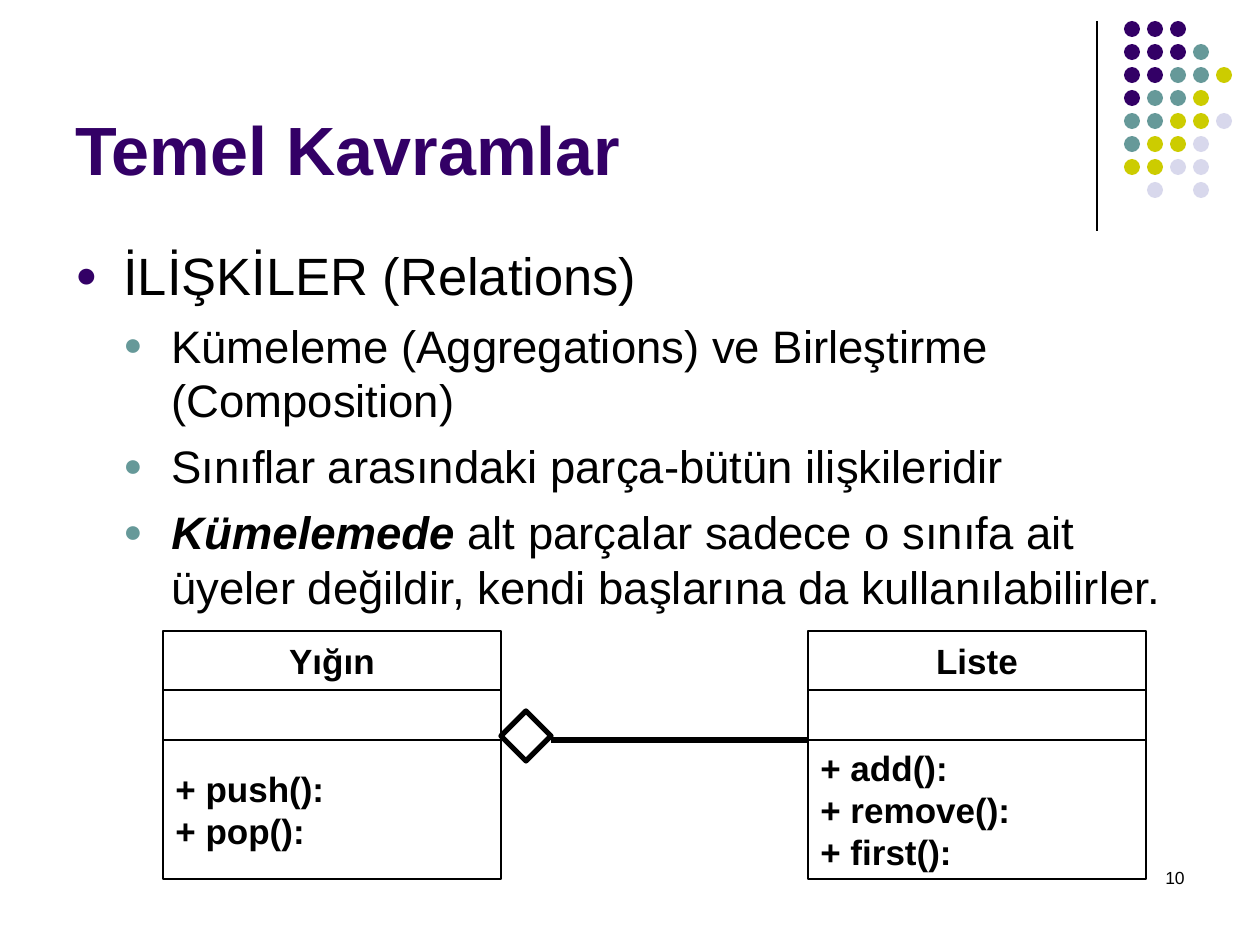
from lxml import etree
from pptx import Presentation, util as u
from pptx.dml.color import RGBColor
from pptx.enum import shapes, text
from pptx.oxml.ns import qn

PX = u.Inches(1) / 126
BLACK, PURPLE, TEAL, OLIVE, PALE = "000000", "330066", "669999", "CCCC00", "D8D8EC"
DOT_COLORS = {"P": PURPLE, "T": TEAL, "O": OLIVE, "L": PALE}
DOT_ROWS = ["PPP", "PPPT", "PPTTO", "PTTO", "TTOOL", "TOOL", "OOLL", " L L"]


def px(*values):
    """Turn pixel lengths into EMU."""
    return [u.Emu(round(v * PX)) for v in values]


def rgb(color):
    """Return the colour of a hex string."""
    return RGBColor.from_string(color)


def write(p, content, size=20, color=BLACK, bold=False, italic=False):
    """Add one formatted run to a paragraph."""
    r = p.add_run()
    r.text = content
    f = r.font
    f.name, f.size, f.bold, f.italic = "Arial", u.Pt(size), bold, italic
    f.color.rgb = rgb(color)


def add_textbox(s, box, anchor=text.MSO_ANCHOR.TOP):
    """Add a wrapping text box and return its frame."""
    tf = s.shapes.add_textbox(*px(*box)).text_frame
    tf.word_wrap = True
    tf.vertical_anchor = anchor
    return tf


def add_bullet(p, level, color):
    """Give a paragraph a hanging round bullet."""
    p.level = level
    pPr = p._p.get_or_add_pPr()
    indent = px(48)[0]
    pPr.set("marL", str(indent * (level + 1)))
    pPr.set("indent", str(-indent))
    clr = etree.SubElement(pPr, qn("a:buClr"))
    etree.SubElement(clr, qn("a:srgbClr"), val=color)
    etree.SubElement(pPr, qn("a:buSzPct"), val="70000")
    etree.SubElement(pPr, qn("a:buFont"), typeface="Arial")
    etree.SubElement(pPr, qn("a:buChar"), char="●")


def add_shape(s, kind, box, fill=None, line=None, weight=0.75):
    """Add a flat preset shape."""
    sp = s.shapes.add_shape(kind, *px(*box))
    sp.shadow.inherit = False
    if fill:
        sp.fill.solid()
        sp.fill.fore_color.rgb = rgb(fill)
    else:
        sp.fill.background()
    if line:
        sp.line.color.rgb = rgb(line)
        sp.line.width = u.Pt(weight)
    else:
        sp.line.fill.background()
    return sp


def add_line(s, start, end, weight):
    """Add a straight black line."""
    c = s.shapes.add_connector(shapes.MSO_CONNECTOR.STRAIGHT, *px(*start, *end))
    c.line.color.rgb = rgb(BLACK)
    c.line.width = u.Pt(weight)
    etree.SubElement(c._element.spPr, qn("a:effectLst"))


def add_dots(s):
    """Add the coloured dot grid of the corner."""
    for row, codes in enumerate(DOT_ROWS):
        for col, code in enumerate(codes):
            if code in DOT_COLORS:
                box = (1124 + 23 * col, 21 + 23 * row, 16, 16)
                add_shape(s, shapes.MSO_SHAPE.OVAL, box, fill=DOT_COLORS[code])


def add_class(s, left, name, methods):
    """Add a UML class of name, attribute and method compartments."""
    center, start = text.PP_ALIGN.CENTER, text.PP_ALIGN.LEFT
    parts = [(631, 59, [name], center), (690, 50, [], start), (740, 139, methods, start)]
    for top, height, lines, align in parts:
        sp = add_shape(s, shapes.MSO_SHAPE.RECTANGLE, (left, top, 338, height), line=BLACK)
        tf = sp.text_frame
        tf.word_wrap = False
        tf.vertical_anchor = text.MSO_ANCHOR.MIDDLE
        for i, content in enumerate(lines):
            p = tf.add_paragraph() if i else tf.paragraphs[0]
            p.alignment = align
            write(p, content, bold=True)


def add_body(s):
    """Add the bulleted outline."""
    tf = add_textbox(s, (63, 237, 1134, 394))
    p = tf.paragraphs[0]
    add_bullet(p, 0, PURPLE)
    write(p, "İLİŞKİLER (Relations)", size=30)
    items = [
        ("", "Kümeleme (Aggregations) ve Birleştirme (Composition)"),
        ("", "Sınıflar arasındaki parça-bütün ilişkileridir"),
        ("Kümelemede", " alt parçalar sadece o sınıfa ait üyeler değildir, "
                       "kendi başlarına da kullanılabilirler."),
    ]
    for term, rest in items:
        p = tf.add_paragraph()
        add_bullet(p, 1, TEAL)
        p.space_before = u.Pt(6.5)
        if term:
            write(p, term, size=26, bold=True, italic=True)
        write(p, rest, size=26)


def main():
    """Build and save the slide."""
    prs = Presentation()
    prs.slide_width, prs.slide_height = px(1260, 945)
    s = prs.slides.add_slide(prs.slide_layouts[6])

    add_line(s, (1097, 21), (1097, 231), 0.75)
    add_dots(s)

    p = add_textbox(s, (903, 861, 294, 63)).paragraphs[0]
    p.alignment = text.PP_ALIGN.RIGHT
    write(p, "10", size=10)

    title = add_textbox(s, (63, 16, 1040, 179), text.MSO_ANCHOR.BOTTOM)
    write(title.paragraphs[0], "Temel Kavramlar", size=39, color=PURPLE, bold=True)
    add_body(s)

    add_class(s, 163, "Yığın", ["+ push():", "+ pop():"])
    add_class(s, 808, "Liste", ["+ add():", "+ remove():", "+ first():"])
    add_shape(s, shapes.MSO_SHAPE.DIAMOND, (501, 711, 50, 50), line=BLACK, weight=3)
    add_line(s, (551, 740), (808, 740), 3)

    prs.save("out.pptx")


if __name__ == "__main__":
    main()
